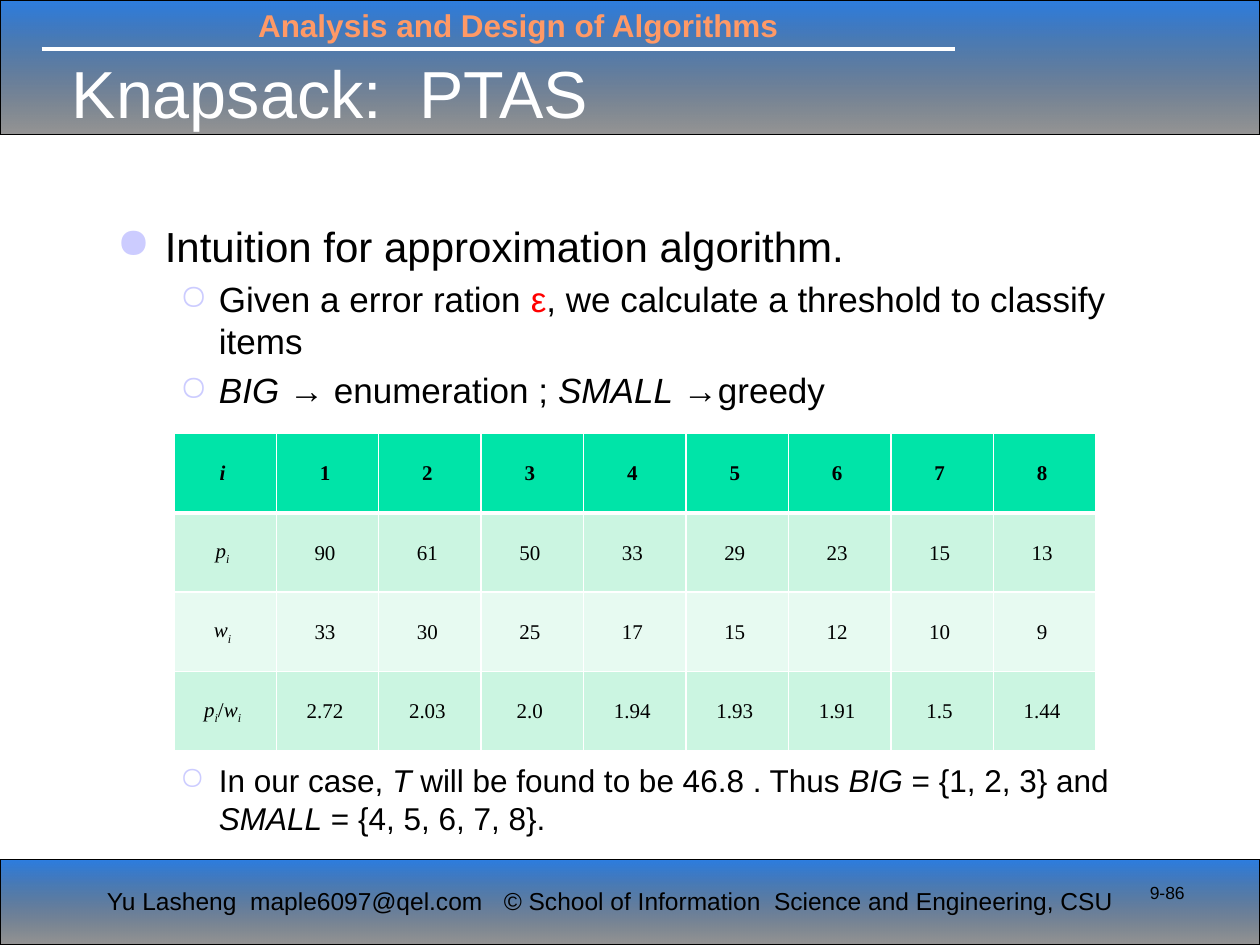
"""Build the knapsack approximation slide with its item table."""
from dataclasses import dataclass

from lxml import etree
from pptx import Presentation
from pptx import slide as s
from pptx import table as tb
from pptx import util as u
from pptx.dml import color
from pptx.enum import shapes, text
from pptx.oxml import ns
from pptx.text import text as t

BLACK, WHITE, RED, ORANGE, LILAC = "000000", "FFFFFF", "FF0000", "FF9966", "CCCCFF"
HEAD, BAND, PALE = "00E4A8", "CBF5E1", "E7FAF1"
LEFT, CENTER, RIGHT = text.PP_ALIGN.LEFT, text.PP_ALIGN.CENTER, text.PP_ALIGN.RIGHT


@dataclass
class Span:
    words: str
    italic: bool = False
    sub: bool = False
    color: str | None = None


@dataclass
class Label:
    words: str
    place: tuple[float, float, float, float]
    size: float
    color: str = BLACK
    bold: bool = False
    align: text.PP_ALIGN = LEFT
    anchor: text.MSO_ANCHOR = text.MSO_ANCHOR.TOP
    wrap: bool = True


@dataclass
class Bullet:
    spans: list[Span]
    size: float
    level: int = 1
    before: float = 0


@dataclass
class Row:
    name: list[Span]
    values: list[str]
    fill: str
    top: float = 1
    bottom: float = 1
    bold: bool = False


LABELS = [
    Label("Analysis and Design of Algorithms", (1.95, 0, 5, 0.4), 18, ORANGE, bold=True),
    Label("Yu Lasheng  maple6097@qel.com", (0.75, 6.98, 3.21, 0.34), 14, wrap=False),
    Label("© School of Information  Science and Engineering, CSU",
          (3.9, 6.98, 5.12, 0.34), 14, wrap=False),
    Label("Knapsack:  PTAS", (0.47, 0.39, 7.81, 0.68), 38, WHITE,
          anchor=text.MSO_ANCHOR.MIDDLE),
    Label("9-86", (8.62, 6.95, 0.88, 0.5), 10, align=RIGHT),
]
BULLETS = [
    Bullet([Span("Intuition for approximation algorithm.")], 24, level=0),
    Bullet([Span("Given a error ration "), Span("ε", color=RED),
            Span(", we calculate a threshold to classify items")], 20, before=4),
    Bullet([Span("BIG ", True), Span("→ enumeration ; "), Span("SMALL", True),
            Span(" →greedy")], 20, before=4),
    Bullet([Span("In our case, "), Span("T", True), Span(" will be found to be 46.8 . Thus "),
            Span("BIG ", True), Span("= {1, 2, 3} and "), Span("SMALL", True),
            Span(" = {4, 5, 6, 7, 8}.")], 18, before=200),
]
INDEX, PROFIT, WEIGHT = Span("i", True, sub=True), Span("p", True), Span("w", True)
ROWS = [
    Row([Span("i", True)], "1 2 3 4 5 6 7 8".split(), HEAD, bottom=3, bold=True),
    Row([PROFIT, INDEX], "90 61 50 33 29 23 15 13".split(), BAND, top=3),
    Row([WEIGHT, INDEX], "33 30 25 17 15 12 10 9".split(), PALE),
    Row([PROFIT, INDEX, Span("/"), WEIGHT, INDEX],
        "2.72 2.03 2.0 1.94 1.93 1.91 1.5 1.44".split(), BAND),
]


def rgb(value: str) -> color.RGBColor:
    return color.RGBColor.from_string(value)


def style(para: t._Paragraph, size: float, ink: str = BLACK, face: str = "Arial",
          bold: bool = False) -> None:
    font = para.font
    font.name, font.size, font.bold = face, u.Pt(size), bold
    font.color.rgb = rgb(ink)


def add_spans(para: t._Paragraph, spans: list[Span]) -> None:
    for span in spans:
        run = para.add_run()
        run.text = span.words
        if span.italic:
            run.font.italic = True
        if span.color:
            run.font.color.rgb = rgb(span.color)
        if span.sub:
            run.font._element.set("baseline", "-25000")


def add_band(page: s.Slide, top: float, height: float) -> None:
    band = page.shapes.add_shape(shapes.MSO_SHAPE.RECTANGLE, u.Inches(0), u.Inches(top),
                                 u.Inches(10), u.Inches(height))
    band.shadow.inherit = False
    band.fill.gradient()
    band.fill.gradient_angle = 270
    for stop, value in zip(band.fill.gradient_stops, ("0E6BDC", BLACK)):
        stop.color.rgb = rgb(value)
    for tint, alpha in zip(band.element.iter(ns.qn("a:srgbClr")), ("88000", "41000")):
        etree.SubElement(tint, ns.qn("a:alpha"), val=alpha)
    band.line.color.rgb = rgb(BLACK)
    band.line.width = u.Pt(0.75)


def add_rule(page: s.Slide) -> None:
    rule = page.shapes.add_connector(shapes.MSO_CONNECTOR.STRAIGHT, u.Inches(0.33),
                                     u.Inches(0.39), u.Inches(7.58), u.Inches(0.39))
    rule.line.color.rgb = rgb(WHITE)
    rule.line.width = u.Pt(2.25)
    etree.SubElement(rule.element.spPr, ns.qn("a:effectLst"))


def add_label(page: s.Slide, label: Label) -> None:
    box = page.shapes.add_textbox(*map(u.Inches, label.place))
    frame = box.text_frame
    frame.word_wrap, frame.vertical_anchor = label.wrap, label.anchor
    para = frame.paragraphs[0]
    para.text, para.alignment = label.words, label.align
    style(para, label.size, label.color, bold=label.bold)


def add_bullets(page: s.Slide, bullets: list[Bullet]) -> None:
    box = page.shapes.add_textbox(u.Inches(0.83), u.Inches(1.7), u.Inches(8.5), u.Inches(5.1))
    frame = box.text_frame
    frame.word_wrap = True
    for number, bullet in enumerate(bullets):
        para = frame.add_paragraph() if number else frame.paragraphs[0]
        para.level, para.space_before = bullet.level, u.Pt(bullet.before)
        margin, hanging, mark = ((0.38, 0.38, "●"), (0.81, 0.31, "○"))[bullet.level]
        props = para._p.get_or_add_pPr()
        props.set("marL", str(u.Inches(margin)))
        props.set("indent", str(-u.Inches(hanging)))
        tint = etree.SubElement(props, ns.qn("a:buClr"))
        etree.SubElement(tint, ns.qn("a:srgbClr"), val=LILAC)
        etree.SubElement(props, ns.qn("a:buChar"), char=mark)
        style(para, bullet.size)
        add_spans(para, bullet.spans)


def fill_cell(cell: tb._Cell, spans: list[Span], row: Row) -> None:
    cell.margin_left, cell.margin_right = u.Inches(0.02), u.Inches(0.06)
    cell.margin_top, cell.margin_bottom = u.Inches(0.01), u.Inches(0)
    cell.vertical_anchor = text.MSO_ANCHOR.MIDDLE
    props = cell._tc.get_or_add_tcPr()
    for side, width in (("L", 1), ("R", 1), ("T", row.top), ("B", row.bottom)):
        edge = etree.SubElement(props, ns.qn(f"a:ln{side}"), w=str(u.Pt(width)))
        solid = etree.SubElement(edge, ns.qn("a:solidFill"))
        etree.SubElement(solid, ns.qn("a:srgbClr"), val=WHITE)
    cell.fill.solid()
    cell.fill.fore_color.rgb = rgb(row.fill)
    para = cell.text_frame.paragraphs[0]
    para.alignment = CENTER
    style(para, 12, face="Times New Roman", bold=row.bold)
    add_spans(para, spans)


def add_items(page: s.Slide, rows: list[Row]) -> None:
    columns = len(rows[0].values) + 1
    table = page.shapes.add_table(len(rows), columns, u.Inches(1.38), u.Inches(3.44),
                                  u.Inches(7.32), u.Inches(2.52)).table
    table.first_row = table.horz_banding = False
    for line, row in enumerate(rows):
        for column, spans in enumerate([row.name, *([Span(value)] for value in row.values)]):
            fill_cell(table.cell(line, column), spans, row)


def main() -> None:
    deck = Presentation()
    deck.slide_width, deck.slide_height = u.Inches(10), u.Inches(7.5)
    page = deck.slides.add_slide(deck.slide_layouts[6])
    add_band(page, 0, 1.07)
    add_band(page, 6.82, 0.68)
    add_rule(page)
    for label in LABELS:
        add_label(page, label)
    add_bullets(page, BULLETS)
    add_items(page, ROWS)
    deck.save("out.pptx")


if __name__ == "__main__":
    main()
